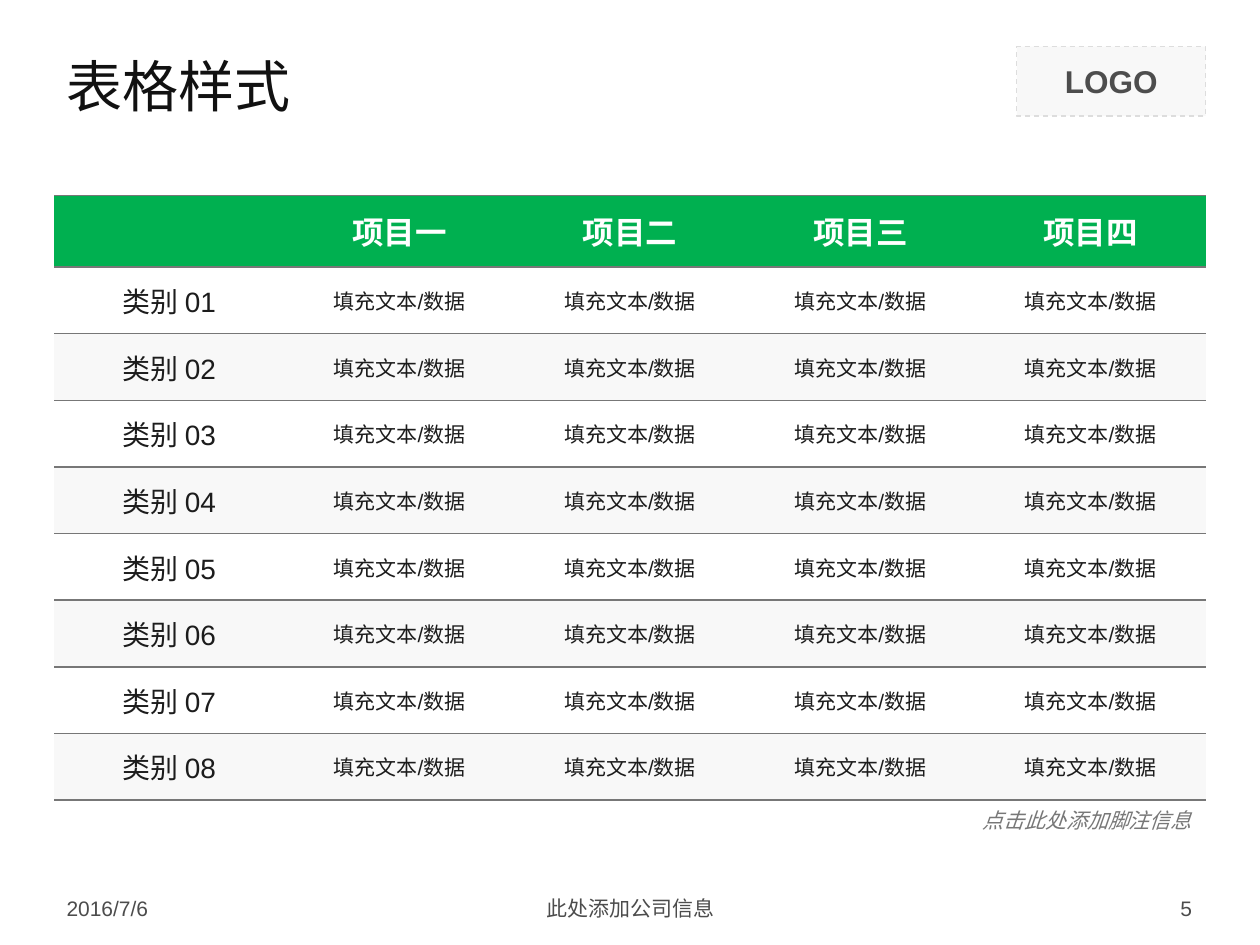
from lxml import etree
from pptx import Presentation
from pptx.dml.color import RGBColor
from pptx.enum.dml import MSO_LINE
from pptx.enum.shapes import MSO_SHAPE
from pptx.enum.text import MSO_ANCHOR, MSO_AUTO_SIZE, PP_ALIGN
from pptx.oxml.ns import qn
from pptx.util import Inches, Pt

LEFT, CENTER, RIGHT = PP_ALIGN.LEFT, PP_ALIGN.CENTER, PP_ALIGN.RIGHT
TOP, MIDDLE = MSO_ANCHOR.TOP, MSO_ANCHOR.MIDDLE
RECTANGLE = MSO_SHAPE.RECTANGLE
DASH = MSO_LINE.DASH
FIT_SHAPE = MSO_AUTO_SIZE.SHAPE_TO_FIT_TEXT

WHITE = RGBColor(0xFF, 0xFF, 0xFF)
PALE = RGBColor(0xF8, 0xF8, 0xF8)
GREEN = RGBColor(0x00, 0xB0, 0x50)
TITLE_BLACK = RGBColor(0x11, 0x11, 0x11)
BODY_BLACK = RGBColor(0x1C, 0x1C, 0x1C)
LOGO_GRAY = RGBColor(0x4D, 0x4D, 0x4D)
FOOTER_GRAY = RGBColor(0x4C, 0x4C, 0x4C)
RULE_GRAY = RGBColor(0x77, 0x77, 0x77)
DASH_GRAY = RGBColor(0xDD, 0xDD, 0xDD)

HEADERS = ["", "项目一", "项目二", "项目三", "项目四"]
CATEGORY_COUNT = 8
TABLE_WIDTH, TABLE_HEIGHT, HEADER_HEIGHT = 9.14, 4.8, 0.57


def write_text(text_frame, text, size, color, align=LEFT, font="Arial",
               bold=False, italic=False):
    text_frame.text = text
    paragraph = text_frame.paragraphs[0]
    paragraph.alignment = align
    for run in paragraph.runs:
        run.font.name = font
        run.font.size = Pt(size)
        run.font.bold = bold
        run.font.italic = italic
        run.font.color.rgb = color


def add_text(slide, box, text, size, color, anchor=MIDDLE, **style):
    shape = slide.shapes.add_textbox(*map(Inches, box))
    text_frame = shape.text_frame
    text_frame.word_wrap = True
    text_frame.vertical_anchor = anchor
    write_text(text_frame, text, size, color, **style)
    return shape


def add_logo_box(slide):
    shape = slide.shapes.add_shape(
        RECTANGLE, Inches(8.07), Inches(0.37), Inches(1.5), Inches(0.55))
    shape.shadow.inherit = False
    shape.fill.solid()
    shape.fill.fore_color.rgb = PALE
    shape.line.color.rgb = DASH_GRAY
    shape.line.width = Pt(0.75)
    shape.line.dash_style = DASH
    shape.text_frame.vertical_anchor = MIDDLE
    write_text(shape.text_frame, "LOGO", 18, LOGO_GRAY, CENTER, bold=True)


def set_borders(cell):
    """Rule the top and bottom of a cell and leave its sides open."""
    properties = cell._tc.get_or_add_tcPr()
    for index, side in enumerate(("lnL", "lnR", "lnT", "lnB")):
        line = etree.Element(qn("a:" + side), w=str(Pt(1)))
        if side in ("lnT", "lnB"):
            fill = etree.SubElement(line, qn("a:solidFill"))
            etree.SubElement(fill, qn("a:srgbClr"), val=str(RULE_GRAY))
        else:
            etree.SubElement(line, qn("a:noFill"))
        properties.insert(index, line)


def fill_cell(cell, text, size, color, background, bold=False):
    cell.fill.solid()
    cell.fill.fore_color.rgb = background
    cell.vertical_anchor = MIDDLE
    write_text(cell.text_frame, text, size, color, CENTER, bold=bold)
    set_borders(cell)


def add_category_table(slide):
    table = slide.shapes.add_table(
        CATEGORY_COUNT + 1, len(HEADERS), Inches(0.43), Inches(1.55),
        Inches(TABLE_WIDTH), Inches(TABLE_HEIGHT)).table
    table.first_row = table.horz_banding = False
    for column in table.columns:
        column.width = Inches(TABLE_WIDTH / len(HEADERS))

    # Header row
    table.rows[0].height = Inches(HEADER_HEIGHT)
    for column, header in enumerate(HEADERS):
        fill_cell(table.cell(0, column), header, 18, WHITE, GREEN, bold=True)

    # Category rows on alternating backgrounds
    for row in range(1, CATEGORY_COUNT + 1):
        table.rows[row].height = Inches(
            (TABLE_HEIGHT - HEADER_HEIGHT) / CATEGORY_COUNT)
        background = WHITE if row % 2 else PALE
        fill_cell(table.cell(row, 0), f"类别 {row:02d}", 16, BODY_BLACK,
                  background)
        for column in range(1, len(HEADERS)):
            fill_cell(table.cell(row, column), "填充文本/数据", 12,
                      BODY_BLACK, background)


def main():
    presentation = Presentation()
    presentation.slide_width = Inches(10)
    presentation.slide_height = Inches(7.5)
    slide = presentation.slides.add_slide(presentation.slide_layouts[6])

    # Heading
    add_logo_box(slide)
    add_text(slide, (0.43, 0.28, 9.14, 0.79), "表格样式", 32, TITLE_BLACK,
             font="Montserrat")

    add_category_table(slide)

    # Footer
    for left, width, text, align in (
            (0.43, 2.33, "2016/7/6", LEFT),
            (3.42, 3.17, "此处添加公司信息", CENTER),
            (7.23, 2.33, "5", RIGHT)):
        add_text(slide, (left, 7.06, width, 0.29), text, 12, FOOTER_GRAY,
                 align=align)

    # Footnote below the table
    footnote = add_text(slide, (7.68, 6.36, 1.88, 0.3),
                        "点击此处添加脚注信息", 12, RULE_GRAY, anchor=TOP,
                        align=RIGHT, italic=True)
    footnote.text_frame.word_wrap = False
    footnote.text_frame.auto_size = FIT_SHAPE

    presentation.save("out.pptx")


if __name__ == "__main__":
    main()
